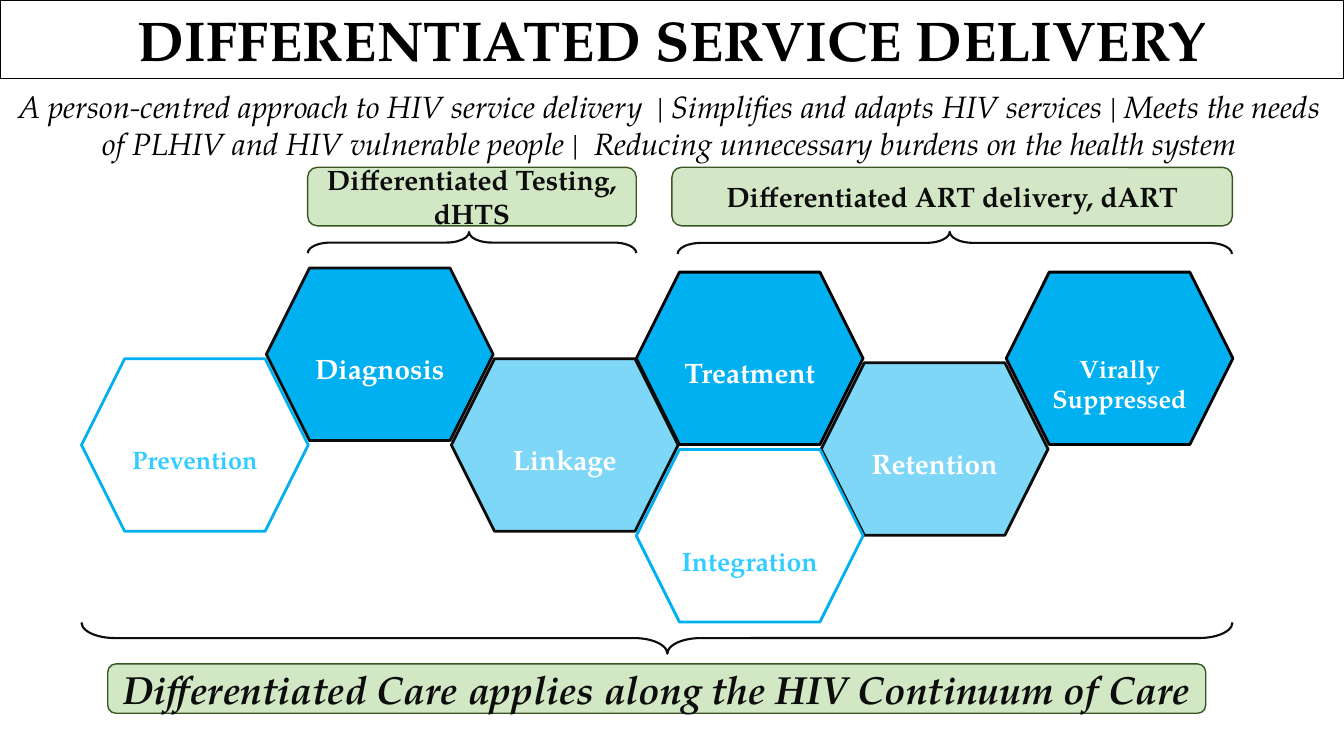
from lxml.etree import SubElement
from pptx import Presentation
from pptx.dml.color import RGBColor
from pptx.enum.shapes import MSO_SHAPE as Preset
from pptx.enum.text import MSO_ANCHOR as Anchor, PP_ALIGN as Align
from pptx.oxml.ns import qn
from pptx.util import Pt

FONT = "TeX Gyre Pagella"
COLOURS = {
    "black": "000000",
    "ink": "0D0D0D",
    "white": "FFFFFF",
    "blue": "00B0F0",
    "sky": "33CCFF",
    "green": "A9D18E",
    "dark green": "385723",
}
HEX_LEFT, HEX_PITCH, HEX_WIDTH, HEX_HEIGHT = 58.2, 132.1, 162, 123.2
STAGES = [
    (1, 191.5, "Diagnosis", 20, "blue", None, "ink", "white", 20),
    (5, 194.4, "Virally\nSuppressed", 18, "blue", None, "black", "white", 36),
    (4, 259.2, "Retention", 20, "blue", 50, "ink", "white", 20),
    (3, 194.4, "Treatment", 20, "blue", None, "black", "white", 20),
    (2, 256.3, "Linkage", 20, "blue", 50, "ink", "white", 20),
    (0, 256.3, "Prevention", 18, None, None, "blue", "sky", 20),
    (3, 321.1, "Integration", 19, None, None, "blue", "sky", 36),
]


def rgb(name):
    return RGBColor.from_string(COLOURS[name])


def write(frame, text, size, colour, bold=True, italic=False, anchor=Anchor.MIDDLE):
    frame.word_wrap = True
    frame.vertical_anchor = anchor
    frame.text = text
    for paragraph in frame.paragraphs:
        paragraph.alignment = Align.CENTER
        font = paragraph.font
        font.name, font.size = FONT, Pt(size)
        font.bold, font.italic = bold, italic
        font.color.rgb = rgb(colour)


def add_outline(slide, preset, box, line, weight, fill=None, opacity=None):
    outline = slide.shapes.add_shape(preset, *map(Pt, box))
    outline.shadow.inherit = False
    outline.line.color.rgb = rgb(line)
    outline.line.width = Pt(weight)
    if fill is None:
        outline.fill.background()
        return outline
    outline.fill.solid()
    outline.fill.fore_color.rgb = rgb(fill)
    if opacity:
        tint = outline.fill._xPr.find(f".//{qn('a:srgbClr')}")
        SubElement(tint, qn("a:alpha"), val=str(opacity * 1000))
    return outline


def add_stage(slide, column, top, label, size, fill, opacity, line, ink, drop):
    box = (HEX_LEFT + column * HEX_PITCH, top, HEX_WIDTH, HEX_HEIGHT)
    stage = add_outline(slide, Preset.HEXAGON, box, line, 2, fill, opacity)
    frame = stage.text_frame
    frame.margin_left = frame.margin_right = frame.margin_bottom = 0
    frame.margin_top = Pt(drop)
    write(frame, label, size, ink)


def add_brace(slide, left, top, span, depth, rotation):
    box = (left + (span - depth) / 2, top + (depth - span) / 2, depth, span)
    brace = add_outline(slide, Preset.LEFT_BRACE, box, "ink", 1.5)
    brace.adjustments[0] = 1.067
    brace.adjustments[1] = 0.509
    brace.rotation = rotation


def add_banner(slide, box, text, size, opacity, italic=False):
    banner = add_outline(slide, Preset.ROUNDED_RECTANGLE, box, "dark green", 1, "green", opacity)
    write(banner.text_frame, text, size, "ink", italic=italic)


def main():
    deck = Presentation()
    deck.slide_width, deck.slide_height = Pt(960), Pt(540)
    slide = deck.slides.add_slide(deck.slide_layouts[6])

    title = add_outline(slide, Preset.RECTANGLE, (0, 0.6, 960, 55.4), "black", 0.75)
    write(title.text_frame, "DIFFERENTIATED SERVICE DELIVERY", 40, "black", anchor=Anchor.TOP)

    summary = slide.shapes.add_textbox(*map(Pt, (-3, 59.2, 962.6, 60.6)))
    write(
        summary.text_frame,
        "A person-centred approach to HIV service delivery  | Simplifies and adapts HIV services | "
        "Meets the needs of PLHIV and HIV vulnerable people |  "
        "Reducing unnecessary burdens on the health system",
        22, "black", bold=False, italic=True, anchor=Anchor.TOP,
    )

    for stage in STAGES:
        add_stage(slide, *stage)

    add_brace(slide, 219.8, 165.7, 234.7, 15.1, 90)
    add_brace(slide, 484, 165.6, 396, 15.8, 90)
    add_brace(slide, 58.2, 444.6, 822.2, 22.3, 270)

    add_banner(slide, (219.8, 119.5, 234.7, 41.8), "Differentiated Testing, dHTS", 20, 52)
    add_banner(slide, (480, 119.5, 400.3, 41.8), "Differentiated ART delivery, dART", 20, 50)
    add_banner(
        slide, (77, 474.2, 784.3, 35.3),
        "Differentiated Care applies along the HIV Continuum of Care", 28, 52, italic=True,
    )
    deck.save("out.pptx")


if __name__ == "__main__":
    main()
